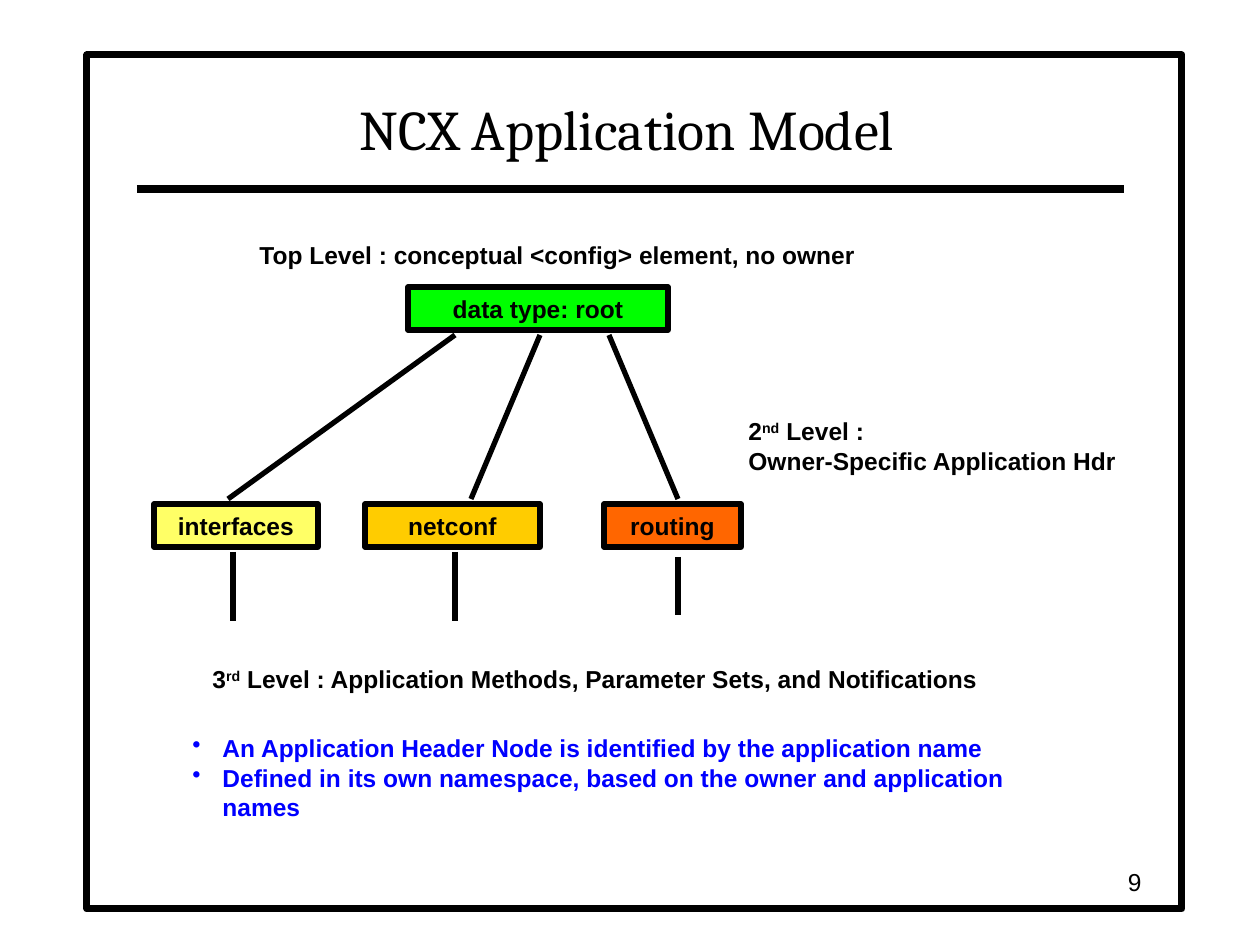
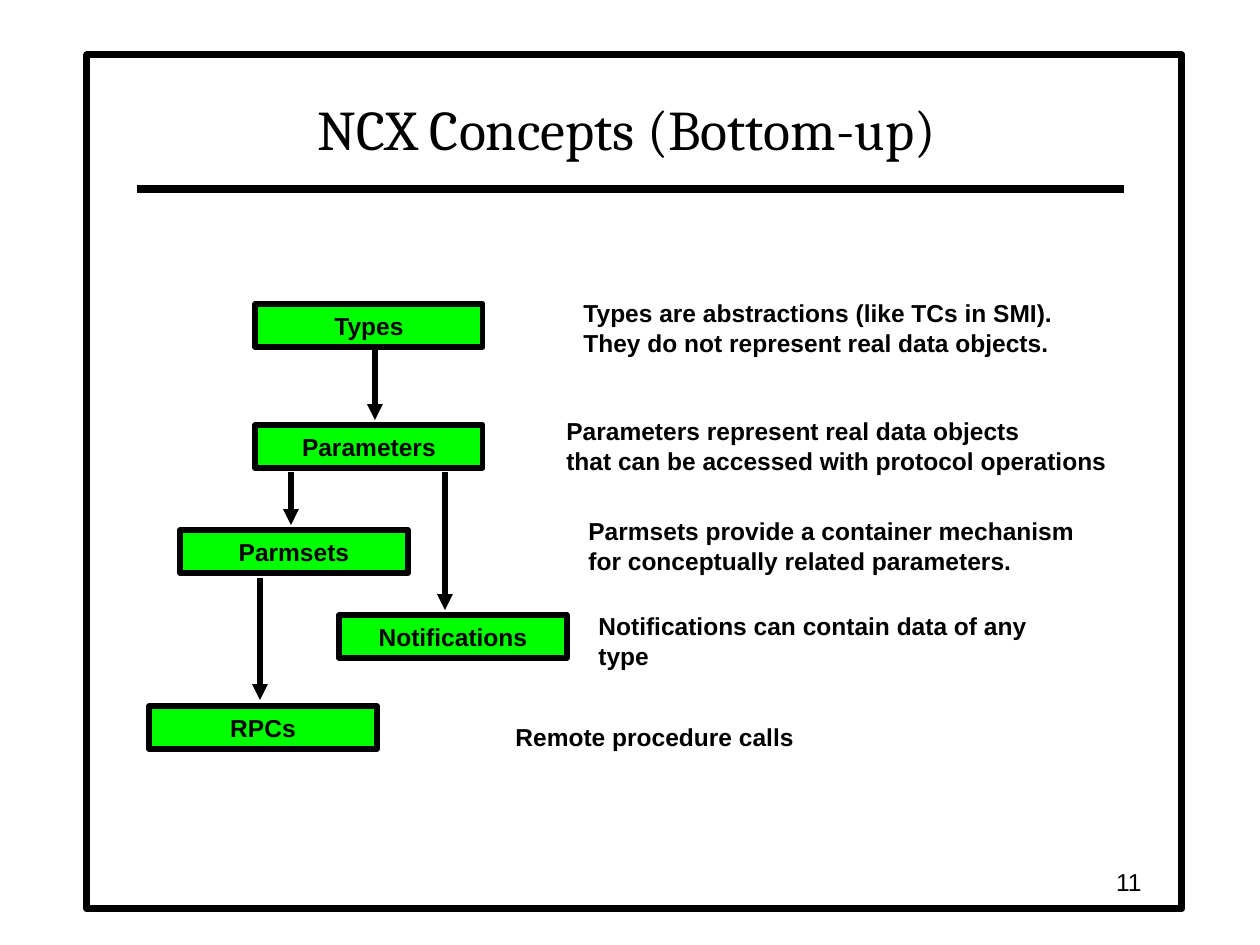
import dataclasses

import lxml.etree
import pptx
import pptx.dml.color
import pptx.enum.shapes
import pptx.enum.text
import pptx.oxml.ns
import pptx.util

PIXELS_PER_INCH = 126
BLACK, WHITE, BLUE = "000000", "FFFFFF", "0000FF"
GREEN, YELLOW, AMBER, ORANGE = "00FF00", "FFFF66", "FFCC00", "FF6600"
BODY_FONT, TITLE_FONT = "Arial", "Cambria"
BODY_SIZE, TITLE_SIZE = 14, 32
NODE_HEIGHT, LINE_HEIGHT, TWO_LINES = 43, 43, 72
ALIGN = pptx.enum.text.PP_ALIGN
ANCHOR = pptx.enum.text.MSO_ANCHOR


def px(length):
    """Turn a length in px into EMU."""
    return pptx.util.Emu(round(length * 914400 / PIXELS_PER_INCH))


def color(value):
    """Turn a hex string into a colour."""
    return pptx.dml.color.RGBColor.from_string(value)


@dataclasses.dataclass
class Box:
    """A rectangle in px."""
    left: int
    top: int
    width: int
    height: int

    def inner(self, left, top, width, height):
        """Return a box placed relative to this one."""
        return Box(self.left + left, self.top + top, width, height)

    def emu(self):
        """Return the four lengths in EMU."""
        return [px(length) for length in dataclasses.astuple(self)]


def add_xml(parent, tag, **attributes):
    """Append a drawing element to a parent."""
    return lxml.etree.SubElement(parent, pptx.oxml.ns.qn(tag), **attributes)


def add_span(para, text, size=BODY_SIZE, font=BODY_FONT, bold=True, ink=BLACK, raised=False):
    """Add one formatted run."""
    span = para.add_run()
    span.text = text
    span.font.size = pptx.util.Pt(size)
    span.font.name = font
    span.font.bold = bold
    span.font.color.rgb = color(ink)
    if raised:
        span.font._element.set("baseline", "30000")


def add_rectangle(page, box, fill, weight):
    """Add a filled rectangle with a black outline."""
    shape = page.shapes.add_shape(pptx.enum.shapes.MSO_SHAPE.RECTANGLE, *box.emu())
    shape.shadow.inherit = False
    shape.fill.solid()
    shape.fill.fore_color.rgb = color(fill)
    shape.line.color.rgb = color(BLACK)
    shape.line.width = pptx.util.Pt(weight)
    return shape


def add_node(page, box, text, fill):
    """Add a labelled box of a diagram."""
    frame = add_rectangle(page, box, fill, 3).text_frame
    frame.word_wrap = True
    frame.vertical_anchor = ANCHOR.MIDDLE
    frame.paragraphs[0].alignment = ALIGN.CENTER
    add_span(frame.paragraphs[0], text)


def add_line(page, box, start, end, weight=3, arrow=False):
    """Add a black line between two points of a box."""
    points = [px(length) for x, y in (start, end) for length in (box.left + x, box.top + y)]
    line = page.shapes.add_connector(pptx.enum.shapes.MSO_CONNECTOR.STRAIGHT, *points)
    line.line.color.rgb = color(BLACK)
    line.line.width = pptx.util.Pt(weight)
    if arrow:
        add_xml(line.line._get_or_add_ln(), "a:tailEnd", type="triangle")
    add_xml(line._element.spPr, "a:effectLst")


def add_text_frame(page, box, wrap=False):
    """Add a text box and return its frame."""
    frame = page.shapes.add_textbox(*box.emu()).text_frame
    frame.word_wrap = wrap
    return frame


def add_note(page, box, lines, wrap=False):
    """Add bold lines; each is a list of (text, raised) runs."""
    para = add_text_frame(page, box, wrap).paragraphs[0]
    for index, line in enumerate(lines):
        if index:
            para.add_line_break()
        for text, raised in line:
            add_span(para, text, raised=raised)


def add_page(deck, title, number):
    """Add a slide with the shared frame, title, rule and page number."""
    page = deck.slides.add_slide(deck.slide_layouts[5])
    heading = page.shapes.title
    border = add_rectangle(page, Box(87, 55, 1095, 854), WHITE, 4)
    heading.element.addprevious(border.element)
    heading.left, heading.top, heading.width, heading.height = Box(136, 73, 982, 95).emu()
    frame = heading.text_frame
    frame.auto_size = pptx.enum.text.MSO_AUTO_SIZE.NONE
    frame.vertical_anchor = ANCHOR.BOTTOM
    frame.paragraphs[0].alignment = ALIGN.CENTER
    add_span(frame.paragraphs[0], title, TITLE_SIZE, TITLE_FONT, bold=False)
    add_line(page, Box(137, 189, 987, 0), (0, 0), (987, 0), weight=4.5)
    footer = add_text_frame(page, Box(892, 861, 262, 42), wrap=True)
    footer.vertical_anchor = ANCHOR.MIDDLE
    footer.paragraphs[0].alignment = ALIGN.RIGHT
    add_span(footer.paragraphs[0], str(number), bold=False)
    return page


def add_model_tree(page, box):
    """Draw the root, its three applications and the level notes."""
    add_note(page, box.inner(93, 0, 622, LINE_HEIGHT),
             [[("Top Level : conceptual <config> element, no owner", False)]])
    add_node(page, box.inner(254, 53, 260, NODE_HEIGHT), "data type: root", GREEN)
    applications = [
        ("interfaces", YELLOW, 0, 164, 301, 74, 79, 318, 387),
        ("netconf", AMBER, 211, 175, 386, 317, 301, 318, 387),
        ("routing", ORANGE, 450, 137, 455, 524, 524, 323, 381),
    ]
    for name, fill, left, width, root_x, branch_x, stem_x, stem_top, stem_end in applications:
        add_node(page, box.inner(left, 270, width, NODE_HEIGHT), name, fill)
        add_line(page, box, (root_x, 101), (branch_x, 265))
        add_line(page, box, (stem_x, stem_top), (stem_x, stem_end))
    add_note(page, box.inner(582, 176, 418, TWO_LINES),
             [[("2", False), ("nd", True), (" Level :", False)],
              [("Owner-Specific Application Hdr", False)]], wrap=True)
    add_note(page, box.inner(46, 424, 791, LINE_HEIGHT),
             [[("3", False), ("rd", True),
               (" Level : Application Methods, Parameter Sets, and Notifications", False)]])


def add_bullets(page, box, items):
    """Add a blue bulleted list."""
    frame = add_text_frame(page, box, wrap=True)
    for index, item in enumerate(items):
        para = frame.add_paragraph() if index else frame.paragraphs[0]
        properties = para._p.get_or_add_pPr()
        properties.set("marL", str(px(30)))
        properties.set("indent", str(-px(30)))
        add_xml(add_xml(properties, "a:buClr"), "a:srgbClr", val=BLUE)
        add_xml(properties, "a:buChar", char="•")
        add_span(para, item, ink=BLUE)


def add_concept_flow(page, box):
    """Draw the concept boxes and the arrows between them."""
    nodes = [("Types", 106, 0), ("Parameters", 106, 121), ("Parmsets", 31, 226),
             ("Notifications", 190, 311), ("RPCs", 0, 402)]
    for name, left, top in nodes:
        add_node(page, box.inner(left, top, 228, NODE_HEIGHT), name, GREEN)
    for x, top, end in [(226, 46, 116), (142, 168, 221), (296, 168, 306), (111, 274, 396)]:
        add_line(page, box, (x, top), (x, end), arrow=True)


def add_concept_notes(page, box):
    """Add the explanation beside each concept."""
    notes = [
        (68, 0, 496, ["Types are abstractions (like TCs in SMI).",
                      "They do not represent real data objects."]),
        (51, 118, 566, ["Parameters represent real data objects",
                        "that can be accessed with protocol operations"]),
        (73, 218, 512, ["Parmsets provide a container mechanism",
                        "for conceptually related parameters."]),
        (83, 313, 510, ["Notifications can contain data of any type"]),
        (0, 424, 310, ["Remote procedure calls"]),
    ]
    for left, top, width, lines in notes:
        height = TWO_LINES if len(lines) == 2 else LINE_HEIGHT
        add_note(page, box.inner(left, top, width, height), [[(line, False)] for line in lines])


def main():
    """Build and save the deck."""
    deck = pptx.Presentation()
    deck.slide_width, deck.slide_height = px(1260), px(945)

    model = add_page(deck, "NCX Application Model", 9)
    add_model_tree(model, Box(154, 234, 1000, 467))
    add_bullets(model, Box(180, 727, 901, TWO_LINES), [
        "An Application Header Node is identified by the application name",
        "Defined in its own namespace, based on the owner and application names",
    ])

    concepts = add_page(deck, "NCX Concepts (Bottom-up)", 11)
    add_concept_flow(concepts, Box(149, 304, 418, 445))
    add_concept_notes(concepts, Box(503, 292, 617, 467))

    deck.save("out.pptx")


if __name__ == "__main__":
    main()
